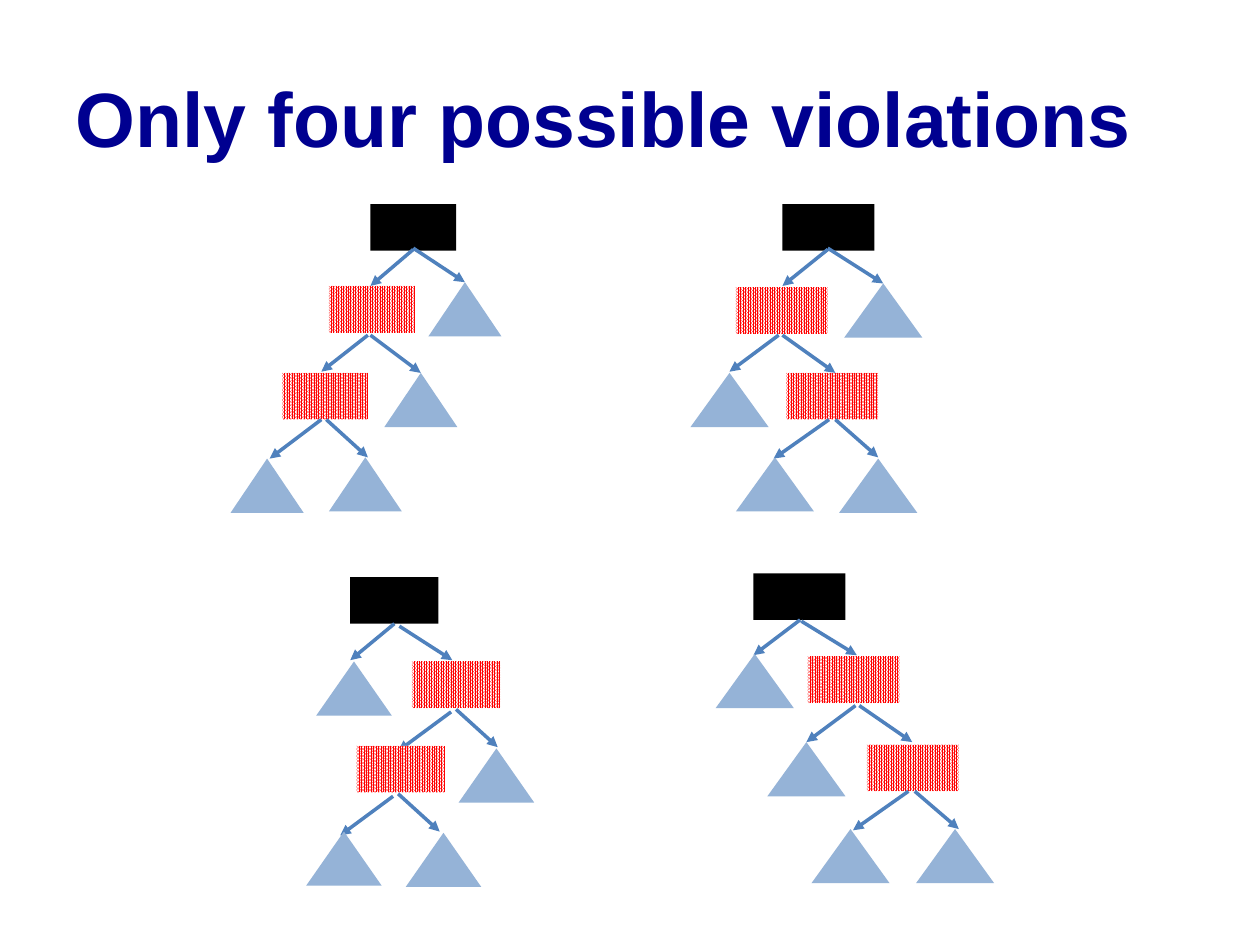
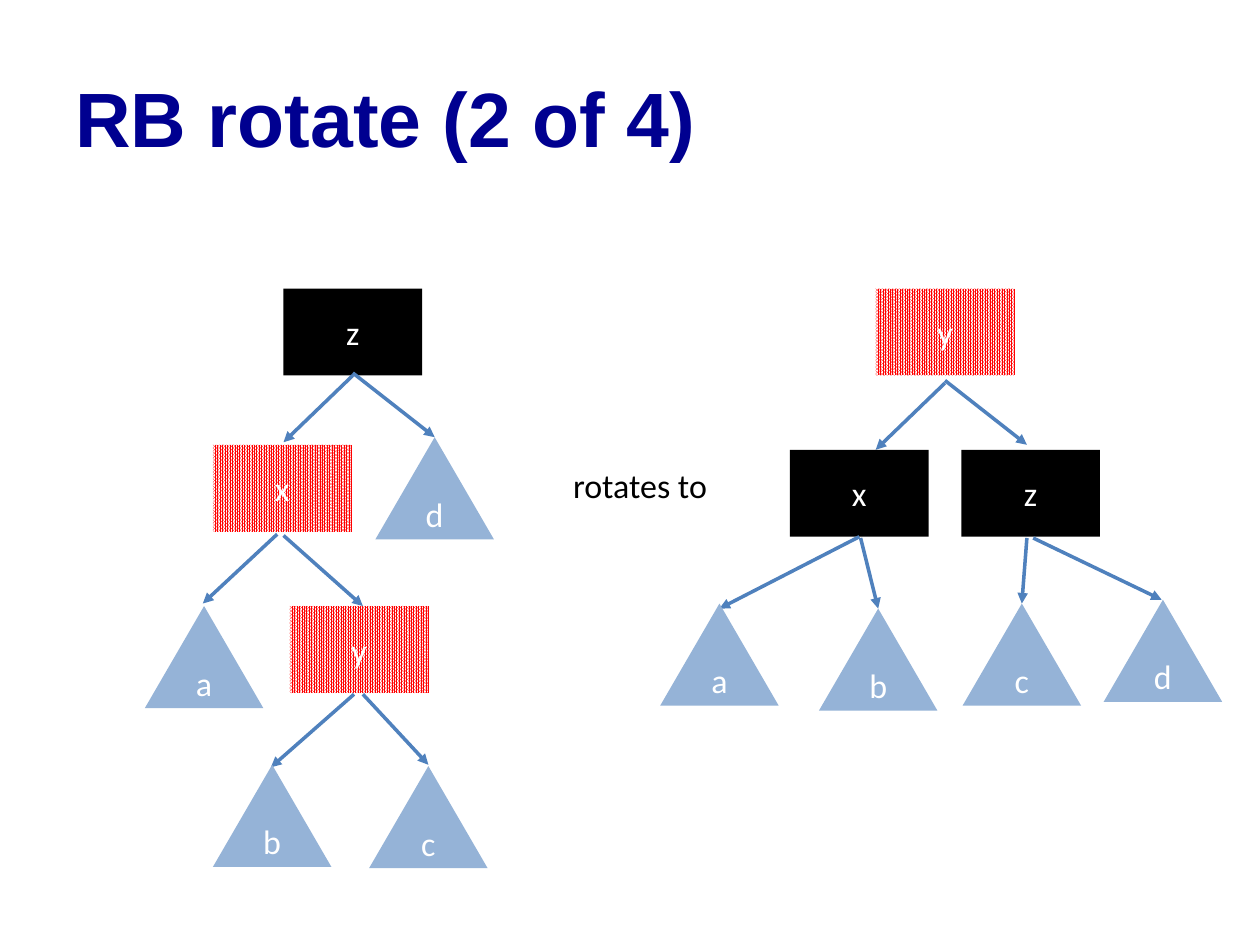
from dataclasses import dataclass
from enum import Enum
from typing import NamedTuple, Optional

from pptx import Presentation
from pptx.dml.color import RGBColor
from pptx.dml.fill import FillFormat
from pptx.enum.dml import MSO_PATTERN
from pptx.enum.shapes import MSO_CONNECTOR, MSO_SHAPE
from pptx.enum.text import MSO_ANCHOR as Anchor, PP_ALIGN as Align
from pptx.oxml.ns import qn
from pptx.oxml.xmlchemy import OxmlElement
from pptx.shapes.shapetree import GroupShapes
from pptx.slide import Slide
from pptx.text.text import TextFrame
from pptx.util import Inches, Pt

NAVY = "000090"
BLACK = "000000"
WHITE = "FFFFFF"
RED = "FF0000"
SUBTREE_BLUE = "95B3D7"
EDGE_BLUE = "4F81BD"
TITLE_FONT = "Arial"
BODY_FONT = "Calibri"
TITLE_SIZE = 44
LABEL_SIZE = 19.4
EDGE_WIDTH = 2


class Kind(Enum):
    BLACK = "black node"
    RED = "red node"
    SUBTREE = "subtree"


class Edge(NamedTuple):
    x1: float
    y1: float
    x2: float
    y2: float


class Size(NamedTuple):
    width: float
    height: float


class Node(NamedTuple):
    """A tree node with the edge that leads to it from its parent."""
    kind: Kind
    left: float
    top: float
    edge: Optional[Edge] = None
    label: str = ""


@dataclass
class Tree:
    key_size: Size
    subtree_size: Size
    nodes: list[Node]


VIOLATIONS = [
    Tree(Size(0.68, 0.37), Size(0.58, 0.43), [
        Node(Kind.BLACK, 2.94, 1.62),
        Node(Kind.RED, 2.61, 2.27, Edge(3.28, 1.98, 2.94, 2.27)),
        Node(Kind.SUBTREE, 3.4, 2.24, Edge(3.28, 1.97, 3.69, 2.24)),
        Node(Kind.RED, 2.24, 2.96, Edge(2.92, 2.66, 2.55, 2.95)),
        Node(Kind.SUBTREE, 3.05, 2.96, Edge(2.94, 2.66, 3.34, 2.96)),
        Node(Kind.SUBTREE, 1.83, 3.64, Edge(2.55, 3.33, 2.14, 3.64)),
        Node(Kind.SUBTREE, 2.61, 3.63, Edge(2.59, 3.33, 2.92, 3.63)),
    ]),
    Tree(Size(0.73, 0.37), Size(0.62, 0.43), [
        Node(Kind.BLACK, 6.21, 1.62),
        Node(Kind.RED, 5.84, 2.28, Edge(6.57, 1.98, 6.21, 2.27)),
        Node(Kind.SUBTREE, 6.7, 2.25, Edge(6.57, 1.97, 7.01, 2.25)),
        Node(Kind.SUBTREE, 5.48, 2.96, Edge(6.18, 2.66, 5.79, 2.95)),
        Node(Kind.RED, 6.24, 2.96, Edge(6.21, 2.66, 6.63, 2.96)),
        Node(Kind.SUBTREE, 5.84, 3.63, Edge(6.58, 3.33, 6.14, 3.64)),
        Node(Kind.SUBTREE, 6.66, 3.64, Edge(6.63, 3.33, 6.97, 3.63)),
    ]),
    Tree(Size(0.73, 0.37), Size(0.62, 0.43), [
        Node(Kind.BLACK, 5.98, 4.55),
        Node(Kind.SUBTREE, 5.68, 5.19, Edge(6.35, 4.92, 5.98, 5.2)),
        Node(Kind.RED, 6.41, 5.21, Edge(6.36, 4.93, 6.8, 5.2)),
        Node(Kind.SUBTREE, 6.09, 5.89, Edge(6.79, 5.6, 6.4, 5.89)),
        Node(Kind.RED, 6.88, 5.91, Edge(6.82, 5.6, 7.24, 5.89)),
        Node(Kind.SUBTREE, 6.44, 6.58, Edge(7.21, 6.28, 6.77, 6.59)),
        Node(Kind.SUBTREE, 7.27, 6.58, Edge(7.26, 6.28, 7.61, 6.58)),
    ]),
    Tree(Size(0.7, 0.37), Size(0.6, 0.43), [
        Node(Kind.BLACK, 2.78, 4.58),
        Node(Kind.SUBTREE, 2.51, 5.25, Edge(3.13, 4.95, 2.78, 5.24)),
        Node(Kind.RED, 3.27, 5.25, Edge(3.17, 4.97, 3.59, 5.24)),
        Node(Kind.RED, 2.83, 5.92, Edge(3.58, 5.65, 3.16, 5.96)),
        Node(Kind.SUBTREE, 3.64, 5.94, Edge(3.62, 5.63, 3.95, 5.93)),
        Node(Kind.SUBTREE, 2.43, 6.6, Edge(3.12, 6.32, 2.7, 6.63)),
        Node(Kind.SUBTREE, 3.22, 6.61, Edge(3.16, 6.3, 3.49, 6.6)),
    ]),
]

ROTATION_KEY = Size(1.1, 0.69)
ROTATION_SUBTREE = Size(0.94, 0.81)

BEFORE_ROTATION = Tree(ROTATION_KEY, ROTATION_SUBTREE, [
    Node(Kind.BLACK, 2.25, 2.29, label="z"),
    Node(Kind.RED, 1.69, 3.53, Edge(2.8, 2.98, 2.25, 3.51), "x"),
    Node(Kind.SUBTREE, 2.98, 3.47, Edge(2.8, 2.96, 3.45, 3.47), "d"),
    Node(Kind.SUBTREE, 1.15, 4.81, Edge(2.2, 4.24, 1.61, 4.79), "a"),
    Node(Kind.RED, 2.3, 4.81, Edge(2.25, 4.25, 2.88, 4.81), "y"),
    Node(Kind.SUBTREE, 1.69, 6.07, Edge(2.81, 5.51, 2.15, 6.09), "b"),
    Node(Kind.SUBTREE, 2.93, 6.08, Edge(2.88, 5.51, 3.4, 6.07), "c"),
])

AFTER_ROTATION = Tree(ROTATION_KEY, ROTATION_SUBTREE, [
    Node(Kind.RED, 6.95, 2.29, label="y"),
    Node(Kind.BLACK, 6.27, 3.57, Edge(7.5, 3.04, 6.95, 3.57), "x"),
    Node(Kind.BLACK, 7.63, 3.57, Edge(7.5, 3.02, 8.15, 3.53), "z"),
    Node(Kind.SUBTREE, 5.24, 4.79, Edge(6.82, 4.26, 5.71, 4.83), "a"),
    Node(Kind.SUBTREE, 6.5, 4.83, Edge(6.83, 4.27, 6.97, 4.83), "b"),
    Node(Kind.SUBTREE, 7.64, 4.79, Edge(8.15, 4.27, 8.11, 4.79), "c"),
    Node(Kind.SUBTREE, 8.76, 4.76, Edge(8.2, 4.27, 9.22, 4.76), "d"),
])


def rgb(hex_color: str) -> RGBColor:
    return RGBColor.from_string(hex_color)


def write(frame: TextFrame, text: str, font_name: str, size: float,
          color: str, bold: bool = False, align: Align = Align.LEFT) -> None:
    paragraph = frame.paragraphs[0]
    paragraph.text = text
    paragraph.alignment = align
    font = paragraph.runs[0].font
    font.name, font.size, font.bold = font_name, Pt(size), bold
    font.color.rgb = rgb(color)


def paint(fill: FillFormat, kind: Kind) -> None:
    if kind is Kind.RED:
        fill.patterned()
        fill.pattern = MSO_PATTERN.PERCENT_90
        fill.fore_color.rgb = rgb(RED)
        fill.back_color.rgb = rgb(WHITE)
    else:
        fill.solid()
        fill.fore_color.rgb = rgb(BLACK if kind is Kind.BLACK else SUBTREE_BLUE)


def draw_edge(shapes: GroupShapes, edge: Edge) -> None:
    arrow = shapes.add_connector(MSO_CONNECTOR.STRAIGHT, *map(Inches, edge))
    arrow.line.color.rgb = rgb(EDGE_BLUE)
    arrow.line.width = Pt(EDGE_WIDTH)
    properties = arrow._element.spPr
    head = OxmlElement("a:tailEnd")
    head.set("type", "triangle")
    properties.find(qn("a:ln")).append(head)
    properties.append(OxmlElement("a:effectLst"))


def draw_node(shapes: GroupShapes, node: Node, tree: Tree) -> None:
    is_subtree = node.kind is Kind.SUBTREE
    outline = MSO_SHAPE.ISOSCELES_TRIANGLE if is_subtree else MSO_SHAPE.RECTANGLE
    size = tree.subtree_size if is_subtree else tree.key_size
    shape = shapes.add_shape(outline, *map(Inches, (node.left, node.top, *size)))
    shape.shadow.inherit = False
    shape.line.fill.background()
    paint(shape.fill, node.kind)
    if node.label:
        shape.text_frame.vertical_anchor = Anchor.MIDDLE
        write(shape.text_frame, node.label, BODY_FONT, LABEL_SIZE, WHITE,
              align=Align.CENTER)


def draw_tree(slide: Slide, tree: Tree) -> None:
    shapes = slide.shapes.add_group_shape().shapes
    for node in tree.nodes:
        if node.edge:
            draw_edge(shapes, node.edge)
        draw_node(shapes, node, tree)


def add_titled_slide(deck: Presentation, title: str) -> Slide:
    slide = deck.slides.add_slide(deck.slide_layouts[6])
    box = slide.shapes.add_textbox(*map(Inches, (0.5, 0.3, 9, 1.25)))
    box.text_frame.word_wrap = True
    box.text_frame.vertical_anchor = Anchor.MIDDLE
    write(box.text_frame, title, TITLE_FONT, TITLE_SIZE, NAVY, bold=True)
    return slide


def build_violations(deck: Presentation) -> None:
    slide = add_titled_slide(deck, "Only four possible violations")
    for tree in VIOLATIONS:
        draw_tree(slide, tree)


def build_rotation(deck: Presentation) -> None:
    slide = add_titled_slide(deck, "RB rotate (2 of 4)")
    draw_tree(slide, AFTER_ROTATION)
    caption = slide.shapes.add_textbox(*map(Inches, (4.45, 3.64, 1.27, 0.43)))
    caption.text_frame.word_wrap = False
    write(caption.text_frame, "rotates to", BODY_FONT, LABEL_SIZE, BLACK)
    draw_tree(slide, BEFORE_ROTATION)


def main() -> None:
    deck = Presentation()
    deck.slide_width, deck.slide_height = Inches(10), Inches(7.5)
    build_violations(deck)
    build_rotation(deck)
    deck.save("out.pptx")


if __name__ == "__main__":
    main()
